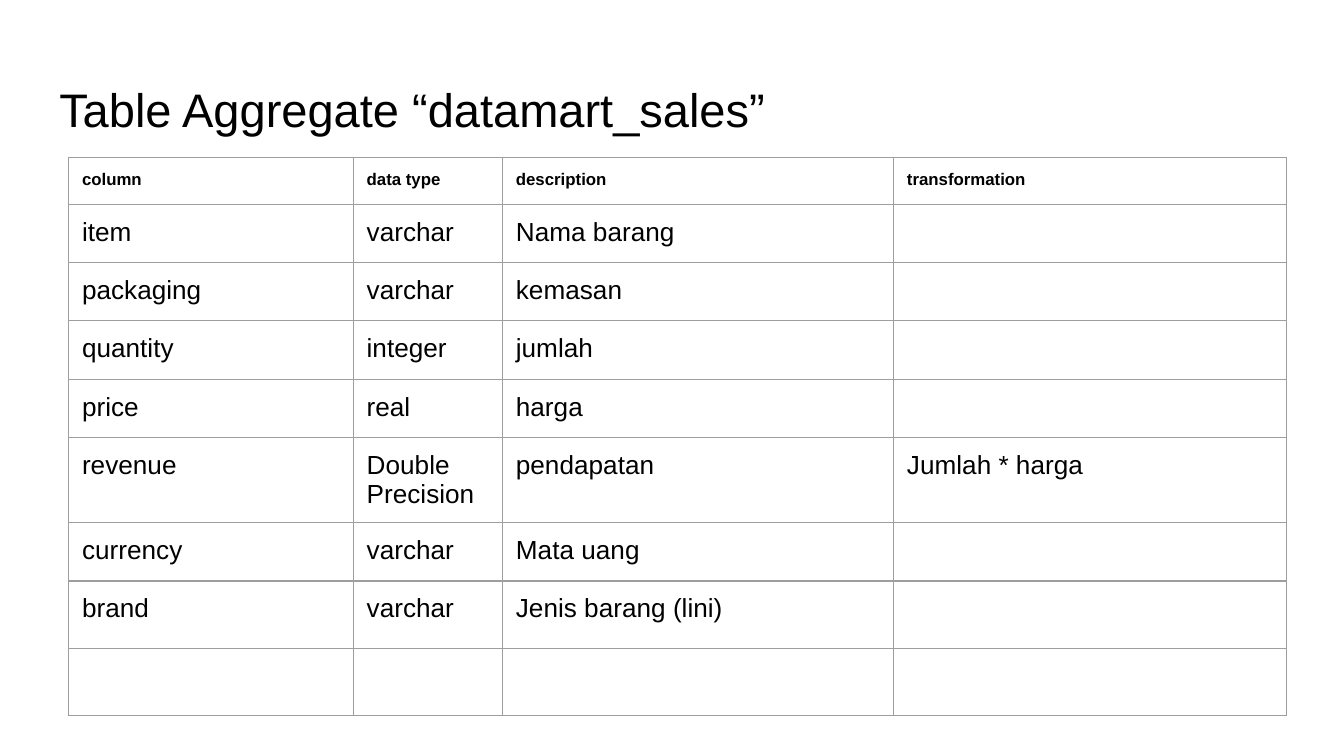
from dataclasses import dataclass

from lxml import etree
from pptx import Presentation
from pptx import util as u
from pptx.dml.color import RGBColor
from pptx.enum import text
from pptx.oxml.ns import qn

COLORS = {"text": "000000", "border": "9E9E9E"}
FONT = "Arial"
INSET = u.Cm(0.25)
COL_WIDTHS = (5.38, 2.82, 7.39, 7.42)


@dataclass
class Row:
    cells: tuple[str, str, str, str]
    height: float = 0.89
    size: float = 14
    bold: bool = False


ROWS = [
    Row(("column", "data type", "description", "transformation"), size=9, bold=True),
    Row(("item", "varchar", "Nama barang", "")),
    Row(("packaging", "varchar", "kemasan", "")),
    Row(("quantity", "integer", "jumlah", "")),
    Row(("price", "real", "harga", "")),
    Row(("revenue", "Double Precision", "pendapatan", "Jumlah * harga")),
    Row(("currency", "varchar", "Mata uang", "")),
    Row(("brand", "varchar", "Jenis barang (lini)", ""), height=1.27),
    Row(("", "", "", ""), height=1.27),
]


def write(tf, content: str, *, size: float, bold: bool = False,
          anchor=text.MSO_ANCHOR.TOP) -> None:
    tf.word_wrap = True
    tf.vertical_anchor = anchor
    p = tf.paragraphs[0]
    p.alignment = text.PP_ALIGN.LEFT
    p.line_spacing = 1.0
    p.space_before = u.Pt(0)
    if not content:
        etree.SubElement(p._p, qn("a:endParaRPr"), sz=str(int(size * 100)))
        return
    r = p.add_run()
    r.text = content
    r.font.name = FONT
    r.font.size = u.Pt(size)
    r.font.bold = bold
    r.font.color.rgb = RGBColor.from_string(COLORS["text"])


def set_insets(target) -> None:
    for side in ("left", "right", "top", "bottom"):
        setattr(target, f"margin_{side}", INSET)


def add_borders(cell) -> None:
    tc_pr = cell._tc.get_or_add_tcPr()
    for side in "LRTB":
        ln = etree.SubElement(tc_pr, qn(f"a:ln{side}"), w=str(u.Pt(0.75)))
        fill = etree.SubElement(ln, qn("a:solidFill"))
        etree.SubElement(fill, qn("a:srgbClr"), val=COLORS["border"])


def add_title(s, content: str) -> None:
    sp = s.shapes.title
    sp.left, sp.top = u.Cm(0.87), u.Cm(1.24)
    sp.width, sp.height = u.Cm(23.67), u.Cm(1.6)
    tf = sp.text_frame
    tf.auto_size = text.MSO_AUTO_SIZE.NONE
    set_insets(tf)
    write(tf, content, size=25.2, anchor=text.MSO_ANCHOR.BOTTOM)


def add_column_table(s, rows: list[Row]) -> None:
    frame = s.shapes.add_table(
        len(rows), len(COL_WIDTHS), u.Cm(1.3), u.Cm(2.97),
        u.Cm(sum(COL_WIDTHS)), u.Cm(sum(row.height for row in rows)))
    table = frame.table
    table.first_row = table.horz_banding = False
    for col, width in zip(table.columns, COL_WIDTHS):
        col.width = u.Cm(width)
    for table_row, row in zip(table.rows, rows):
        table_row.height = u.Cm(row.height)
        for cell, content in zip(table_row.cells, row.cells):
            set_insets(cell)
            add_borders(cell)
            cell.fill.background()
            write(cell.text_frame, content, size=row.size, bold=row.bold)


def main() -> None:
    prs = Presentation()
    prs.slide_width, prs.slide_height = u.Cm(25.4), u.Cm(14.29)
    s = prs.slides.add_slide(prs.slide_layouts[5])
    add_column_table(s, ROWS)
    add_title(s, "Table Aggregate “datamart_sales”")
    prs.save("out.pptx")


if __name__ == "__main__":
    main()
